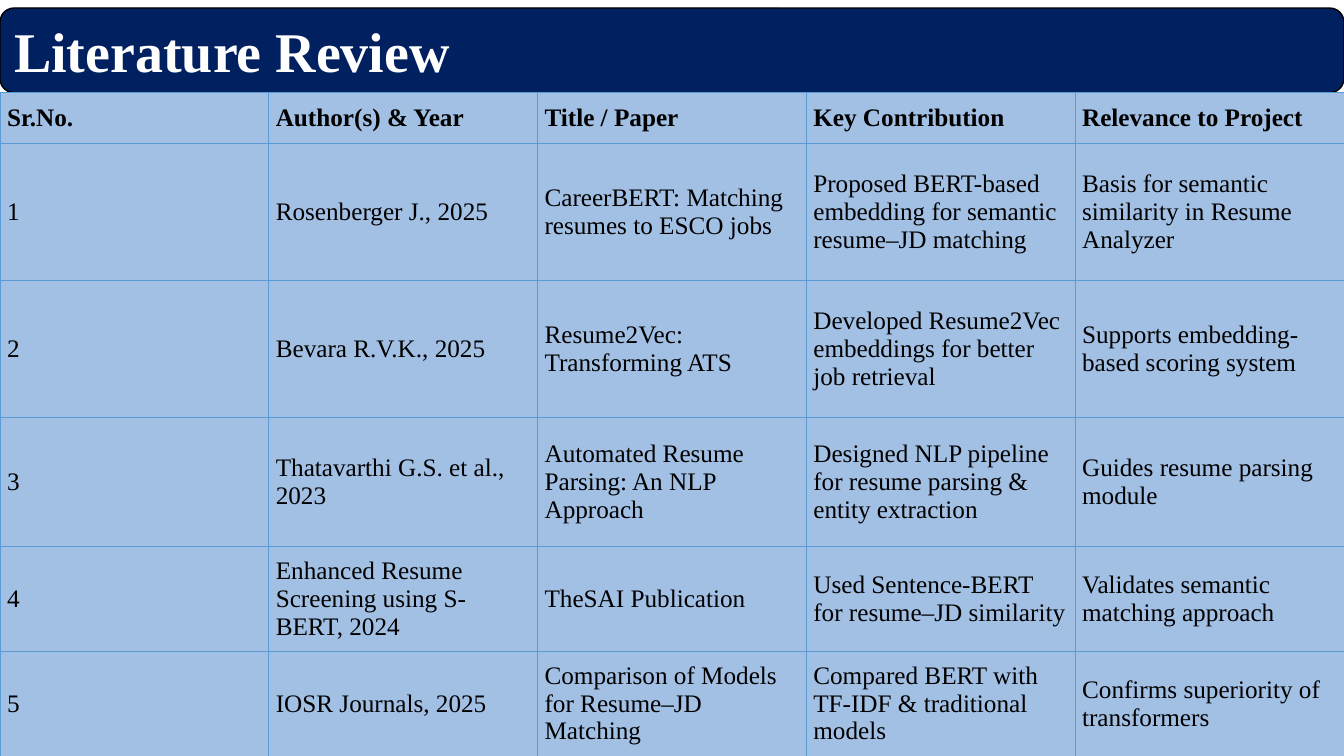
from lxml import etree
from pptx import Presentation
from pptx.dml.color import RGBColor
from pptx.enum import shapes, text
from pptx.oxml import ns
from pptx.util import Inches, Pt

HEADING = "Literature Review"
ROWS = [
    ("Sr.No.", "Author(s) & Year", "Title / Paper", "Key Contribution",
     "Relevance to Project"),
    ("1", "Rosenberger J., 2025", "CareerBERT: Matching resumes to ESCO jobs",
     "Proposed BERT-based embedding for semantic resume–JD matching",
     "Basis for semantic similarity in Resume Analyzer"),
    ("2", "Bevara R.V.K., 2025", "Resume2Vec: Transforming ATS",
     "Developed Resume2Vec embeddings for better job retrieval",
     "Supports embedding-based scoring system"),
    ("3", "Thatavarthi G.S. et al., 2023",
     "Automated Resume Parsing: An NLP Approach",
     "Designed NLP pipeline for resume parsing & entity extraction",
     "Guides resume parsing module"),
    ("4", "Enhanced Resume Screening using S-BERT, 2024", "TheSAI Publication",
     "Used Sentence-BERT for resume–JD similarity",
     "Validates semantic matching approach"),
    ("5", "IOSR Journals, 2025", "Comparison of Models for Resume–JD Matching",
     "Compared BERT with TF-IDF & traditional models",
     "Confirms superiority of transformers"),
]
HEIGHTS = [0.5, 1.36, 1.36, 1.28, 1.04, 1.04]
COLORS = {"navy": "002060", "black": "000000", "white": "FFFFFF",
          "cell": "A2BFE4", "border": "5B9BD5"}
FONT = "Times New Roman"
WIDTH, HEIGHT = 13.33, 7.5
BAR_TOP, BAR_HEIGHT = 0.08, 0.84


def color(name):
    return RGBColor.from_string(COLORS[name])


def style(frame, size, ink, bold):
    for run in frame.paragraphs[0].runs:
        font = run.font
        font.name, font.size, font.bold = FONT, Pt(size), bold
        font.color.rgb = color(ink)


def outline(cell):
    """Draw a thin border on all four sides of a cell."""
    props = cell._tc.get_or_add_tcPr()
    for place, side in enumerate(("lnL", "lnR", "lnT", "lnB")):
        line = etree.Element(ns.qn(f"a:{side}"), w=str(Pt(0.5)))
        fill = etree.SubElement(line, ns.qn("a:solidFill"))
        etree.SubElement(fill, ns.qn("a:srgbClr"), val=COLORS["border"])
        props.insert(place, line)


def add_heading(slide):
    box = (0, Inches(BAR_TOP), Inches(WIDTH), Inches(BAR_HEIGHT))
    bar = slide.shapes.add_shape(shapes.MSO_SHAPE.ROUNDED_RECTANGLE, *box)
    bar.shadow.inherit = False
    bar.fill.solid()
    bar.fill.fore_color.rgb = color("navy")
    bar.line.color.rgb = color("black")
    bar.line.width = Pt(1)

    title = slide.shapes.title
    title.left, title.top, title.width, title.height = box
    bar._element.addnext(title._element)
    frame = title.text_frame
    frame.text = HEADING
    frame.auto_size = text.MSO_AUTO_SIZE.NONE
    frame.vertical_anchor = text.MSO_ANCHOR.MIDDLE
    frame.margin_left = Inches(0.14)
    frame.paragraphs[0].alignment = text.PP_ALIGN.LEFT
    style(frame, 40, "white", True)


def add_review(slide):
    count = len(ROWS[0])
    table = slide.shapes.add_table(
        len(ROWS), count, 0, Inches(BAR_TOP + BAR_HEIGHT),
        Inches(WIDTH), Inches(sum(HEIGHTS))).table
    for col in table.columns:
        col.width = Inches(WIDTH / count)
    for r, (words, height) in enumerate(zip(ROWS, HEIGHTS)):
        table.rows[r].height = Inches(height)
        for c, word in enumerate(words):
            cell = table.cell(r, c)
            cell.text_frame.text = word
            cell.vertical_anchor = text.MSO_ANCHOR.MIDDLE
            cell.margin_left = cell.margin_right = Inches(0.07)
            cell.margin_top = cell.margin_bottom = Inches(0.03)
            cell.fill.solid()
            cell.fill.fore_color.rgb = color("cell")
            outline(cell)
            style(cell.text_frame, 18, "black", r == 0)


def main():
    deck = Presentation()
    deck.slide_width, deck.slide_height = Inches(WIDTH), Inches(HEIGHT)
    slide = deck.slides.add_slide(deck.slide_layouts[5])
    add_heading(slide)
    add_review(slide)
    deck.save("out.pptx")


if __name__ == "__main__":
    main()
